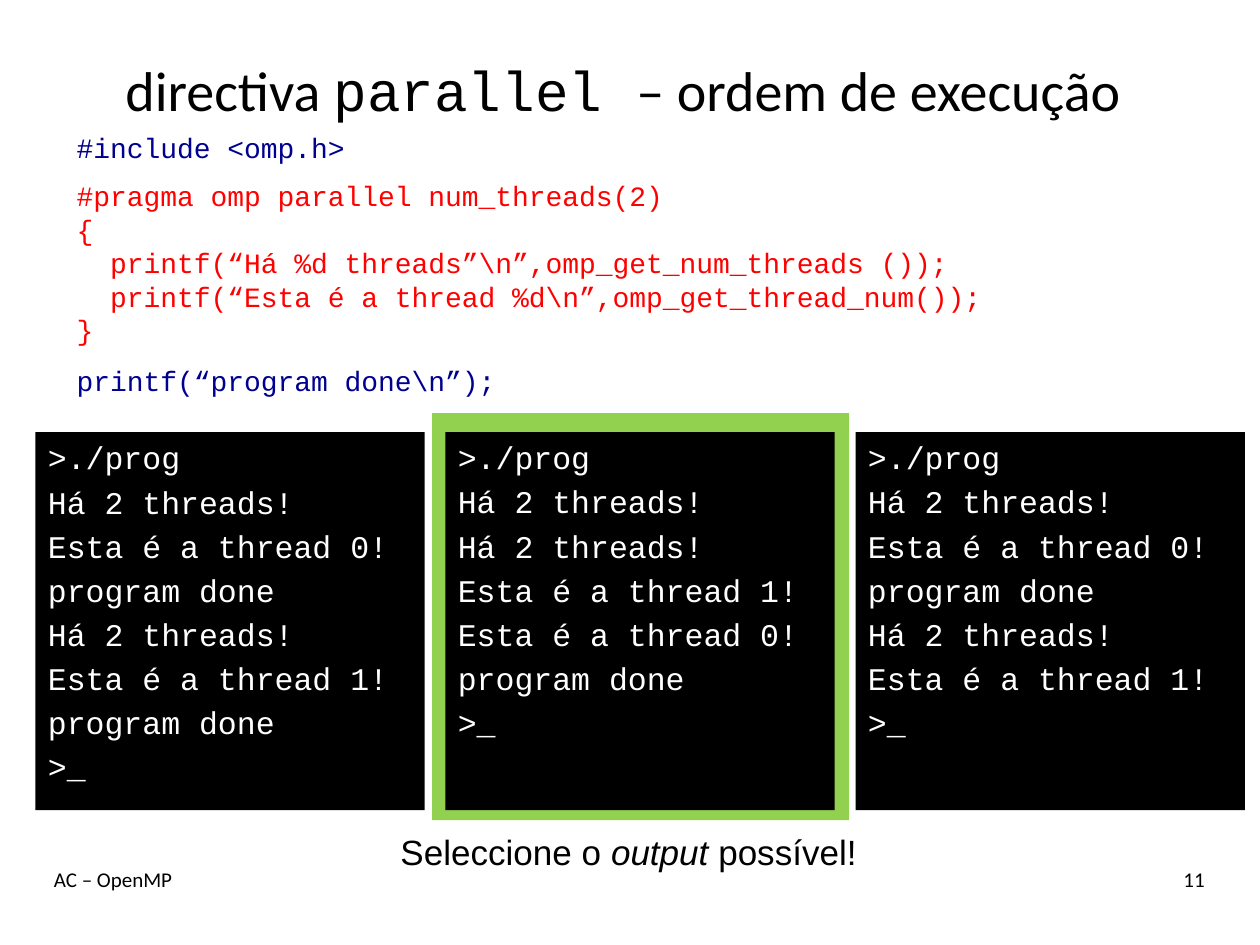
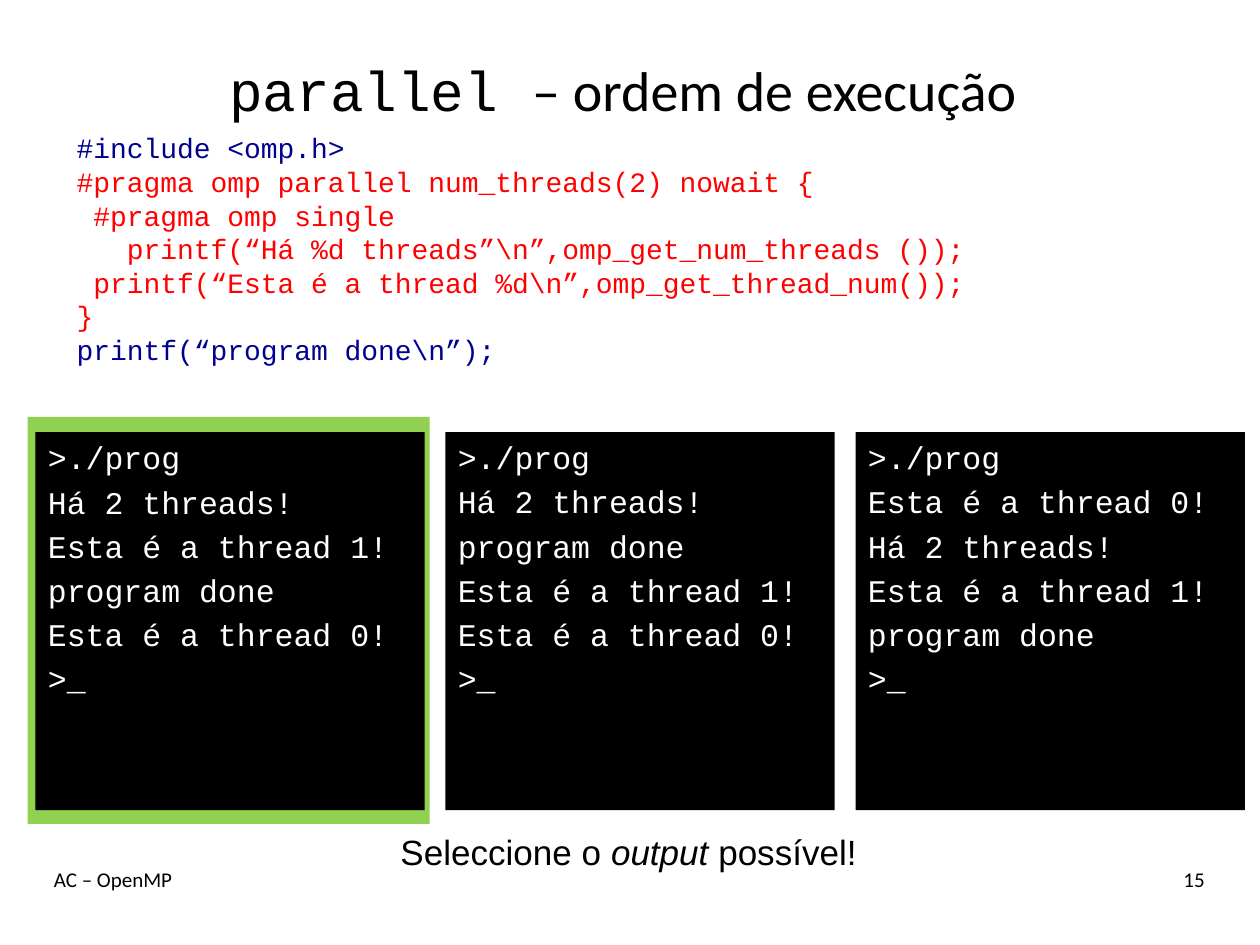
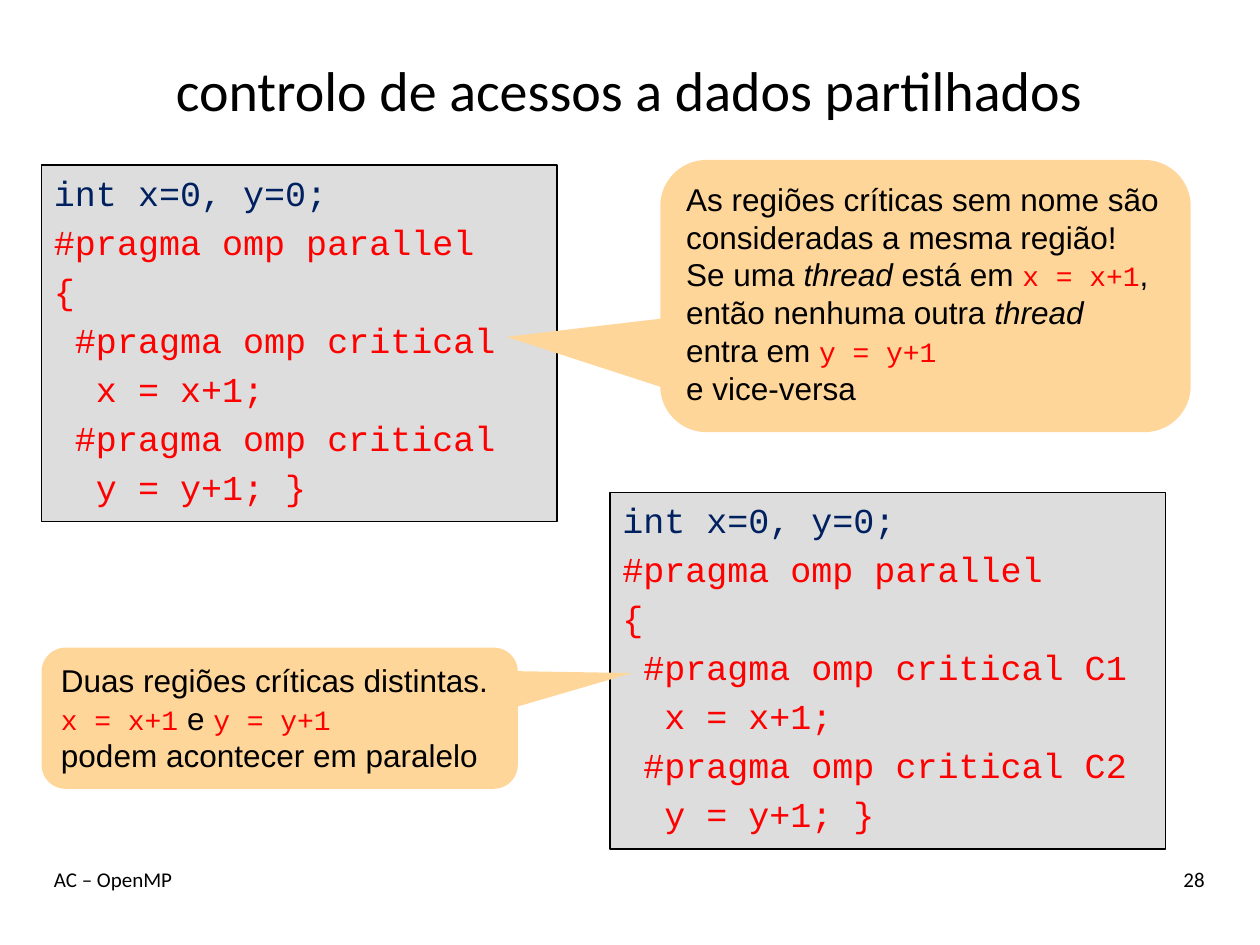
from dataclasses import dataclass
from typing import NamedTuple

from lxml import etree
from pptx import Presentation
from pptx.dml.color import RGBColor
from pptx.enum.shapes import MSO_SHAPE as Preset
from pptx.enum.text import MSO_ANCHOR as Anchor, MSO_AUTO_SIZE as AutoSize, PP_ALIGN as Align
from pptx.oxml.ns import qn
from pptx.util import Inches, Pt

BLACK, WHITE, RED = "000000", "FFFFFF", "FF0000"
NAVY, DARK_BLUE = "002060", "000090"
GREEN, GREY, ORANGE = "92D050", "DDDDDD", "FFD699"
SANS, BODY, MONO = "Calibri", "Arial", "Courier New"

TITLE_AND_BODY, TITLE_ONLY = 1, 5
PANEL_LEFT, PANEL_TOP, PANEL_STEP = 0.28, 3.43, 3.255
PANEL_WIDTH, PANEL_HEIGHT = 3.09, 3


class Area(NamedTuple):
    left: float
    top: float
    width: float
    height: float


class Span(NamedTuple):
    text: str
    font: str
    size: float
    color: str = BLACK
    italic: bool = False


@dataclass
class Line:
    spans: list[Span]
    before: float = 0
    after: float = 0
    align: Align = Align.LEFT


@dataclass
class Callout:
    area: Area
    tip: tuple[float, float]
    lines: list[Line]


@dataclass
class Quiz:
    title: list[Span]
    number: int
    code: list[Line]
    frame: Area
    outputs: list[list[str]]


def rgb(value: str) -> RGBColor:
    return RGBColor.from_string(value)


def place(shape, area: Area) -> None:
    for name, value in area._asdict().items():
        setattr(shape, name, Inches(value))


def write(shape, lines: list[Line], wrap: bool = True, anchor: Anchor = Anchor.TOP,
          bullets_off: bool = False) -> None:
    box = shape.text_frame
    box.word_wrap = wrap
    box.auto_size = AutoSize.NONE
    box.vertical_anchor = anchor
    for index, line in enumerate(lines):
        para = box.add_paragraph() if index else box.paragraphs[0]
        if bullets_off:
            etree.SubElement(para._p.get_or_add_pPr(), qn("a:buNone"))
        layout = {"alignment": line.align, "space_after": Pt(line.after),
                  "space_before": Pt(line.before if index else 0)}
        for name, value in layout.items():
            setattr(para, name, value)
        for span in line.spans:
            run = para.add_run()
            run.text = span.text
            look = {"name": span.font, "size": Pt(span.size), "italic": span.italic}
            for name, value in look.items():
                setattr(run.font, name, value)
            run.font.color.rgb = rgb(span.color)


def add_text(page, area: Area, lines: list[Line], wrap: bool = True) -> None:
    write(page.shapes.add_textbox(*map(Inches, area)), lines, wrap)


def add_block(page, area: Area, fill: str, preset: Preset = Preset.RECTANGLE, border: str = ""):
    block = page.shapes.add_shape(preset, *map(Inches, area))
    block.shadow.inherit = False
    block.fill.solid()
    block.fill.fore_color.rgb = rgb(fill)
    if border:
        block.line.color.rgb = rgb(border)
        block.line.width = Pt(0.75)
    else:
        block.line.fill.background()
    return block


def code_lines(texts: list[str], size: float, color: str, first_color: str = "") -> list[Line]:
    """Spaced lines of code, the first one optionally in its own colour."""
    return [Line([Span(text, MONO, size, color if index else first_color or color)],
                 before=size * 0.2)
            for index, text in enumerate(texts)]


def add_page(deck, layout: int, title: list[Span], number: int):
    page = deck.slides.add_slide(deck.slide_layouts[layout])
    place(page.shapes.title, Area(0.33, 0.25, 9.33, 0.92))
    write(page.shapes.title, [Line(title, align=Align.CENTER)], anchor=Anchor.MIDDLE)
    add_text(page, Area(0.33, 6.83, 7, 0.5), [Line([Span("AC – OpenMP", SANS, 12)])])
    add_text(page, Area(8.33, 6.83, 1.33, 0.5),
             [Line([Span(str(number), SANS, 12)], align=Align.RIGHT)])
    return page


def add_quiz(deck, quiz: Quiz) -> None:
    page = add_page(deck, TITLE_AND_BODY, quiz.title, quiz.number)
    frame = add_block(page, quiz.frame, GREEN)
    page.shapes.title.element.addprevious(frame.element)
    add_text(page, Area(0.51, 0.99, 7.6, 2.35), quiz.code, wrap=False)
    for index, output in enumerate(quiz.outputs):
        area = Area(PANEL_LEFT + index * PANEL_STEP, PANEL_TOP, PANEL_WIDTH, PANEL_HEIGHT)
        if index:
            panel = add_block(page, area, BLACK)
        else:
            panel = page.placeholders[1]
            place(panel, area)
            panel.fill.solid()
            panel.fill.fore_color.rgb = rgb(BLACK)
        write(panel, code_lines(output, 18, WHITE), bullets_off=not index)
    prompt = [Span("Seleccione o ", BODY, 20), Span("output ", BODY, 20, italic=True),
              Span("possível!", BODY, 20)]
    add_text(page, Area(3.08, 6.54, 3.85, 0.44), [Line(prompt)], wrap=False)


def critical_code(first_name: str = "", second_name: str = "") -> list[Line]:
    return code_lines(["int x=0, y=0;", "#pragma omp parallel", "{",
                       f" #pragma omp critical{first_name}", "  x = x+1;",
                       f" #pragma omp critical{second_name}", "  y = y+1; }"],
                      20, RED, NAVY)


def add_critical_page(deck) -> None:
    title = [Span("controlo de acessos a dados partilhados", SANS, 32)]
    page = add_page(deck, TITLE_ONLY, title, 28)
    listings = [(Area(0.33, 1.31, 4.09, 2.83), critical_code()),
                (Area(4.84, 3.91, 4.41, 2.83), critical_code(" C1", " C2"))]
    for area, lines in listings:
        write(add_block(page, area, GREY, border=BLACK), lines)
    for callout in CALLOUTS:
        bubble = add_block(page, callout.area, ORANGE, Preset.ROUNDED_RECTANGULAR_CALLOUT)
        for index, value in enumerate((*callout.tip, 0.17)):
            bubble.adjustments[index] = value
        write(bubble, callout.lines)


def plain(text: str) -> Span:
    return Span(text, BODY, 18)


def term(text: str) -> Span:
    return Span(text, BODY, 18, italic=True)


def code(text: str, color: str = RED) -> Span:
    return Span(text, MONO, 16, color)


CALLOUTS = [
    Callout(Area(5.24, 1.27, 4.21, 2.16), (-0.79, 0.15), [
        Line([plain("As regiões críticas sem nome são consideradas a mesma região!")]),
        Line([plain("Se uma "), term("thread "), plain("está em "), code("x = x+1"), plain(",")]),
        Line([plain("então nenhuma outra "), term("thread")]),
        Line([plain("entra em "), code("y = y+1")]),
        Line([plain("e vice-versa")]),
    ]),
    Callout(Area(0.33, 5.14, 3.78, 1.12), (0.74, -0.32), [
        Line([plain("Duas regiões críticas distintas.")]),
        Line([code("x = x+1"), plain(" e "), code("y = y+1")]),
        Line([plain("podem acontecer em paralelo")]),
    ]),
]

ORDER_TITLE = [Span("parallel ", MONO, 32), Span("– ordem de execução ", SANS, 32)]
INCLUDE = code("#include <omp.h>", DARK_BLUE)
DONE = code("printf(“program done\\n”);", DARK_BLUE)
START, COUNT, FINISH, PROMPT = ">./prog", "Há 2 threads!", "program done", ">_"
THREAD_0, THREAD_1 = "Esta é a thread 0!", "Esta é a thread 1!"

QUIZZES = [
    Quiz(
        [Span("directiva ", SANS, 32), *ORDER_TITLE], 11,
        [Line([INCLUDE], after=8),
         *(Line([code(text)]) for text in [
             "#pragma omp parallel num_threads(2)",
             "{",
             "  printf(“Há %d threads”\\n”,omp_get_num_threads ());",
             "  printf(“Esta é a thread %d\\n”,omp_get_thread_num());",
             "}"]),
         Line([DONE], before=9.6)],
        Area(3.43, 3.28, 3.31, 3.23),
        [[START, COUNT, THREAD_0, FINISH, COUNT, THREAD_1, FINISH, PROMPT],
         [START, COUNT, COUNT, THREAD_1, THREAD_0, FINISH, PROMPT],
         [START, COUNT, THREAD_0, FINISH, COUNT, THREAD_1, PROMPT]]),
    Quiz(
        ORDER_TITLE, 15,
        [Line([INCLUDE]),
         *(Line([code(text)]) for text in [
             "#pragma omp parallel num_threads(2) nowait {",
             " #pragma omp single",
             "   printf(“Há %d threads”\\n”,omp_get_num_threads ());",
             " printf(“Esta é a thread %d\\n”,omp_get_thread_num());",
             "}"]),
         Line([DONE])],
        Area(0.22, 3.31, 3.19, 3.23),
        [[START, COUNT, THREAD_1, FINISH, THREAD_0, PROMPT],
         [START, COUNT, FINISH, THREAD_1, THREAD_0, PROMPT],
         [START, THREAD_0, COUNT, THREAD_1, FINISH, PROMPT]]),
]


def main() -> None:
    deck = Presentation()
    deck.slide_width, deck.slide_height = Inches(10), Inches(7.5)
    for quiz in QUIZZES:
        add_quiz(deck, quiz)
    add_critical_page(deck)
    deck.save("out.pptx")


if __name__ == "__main__":
    main()
